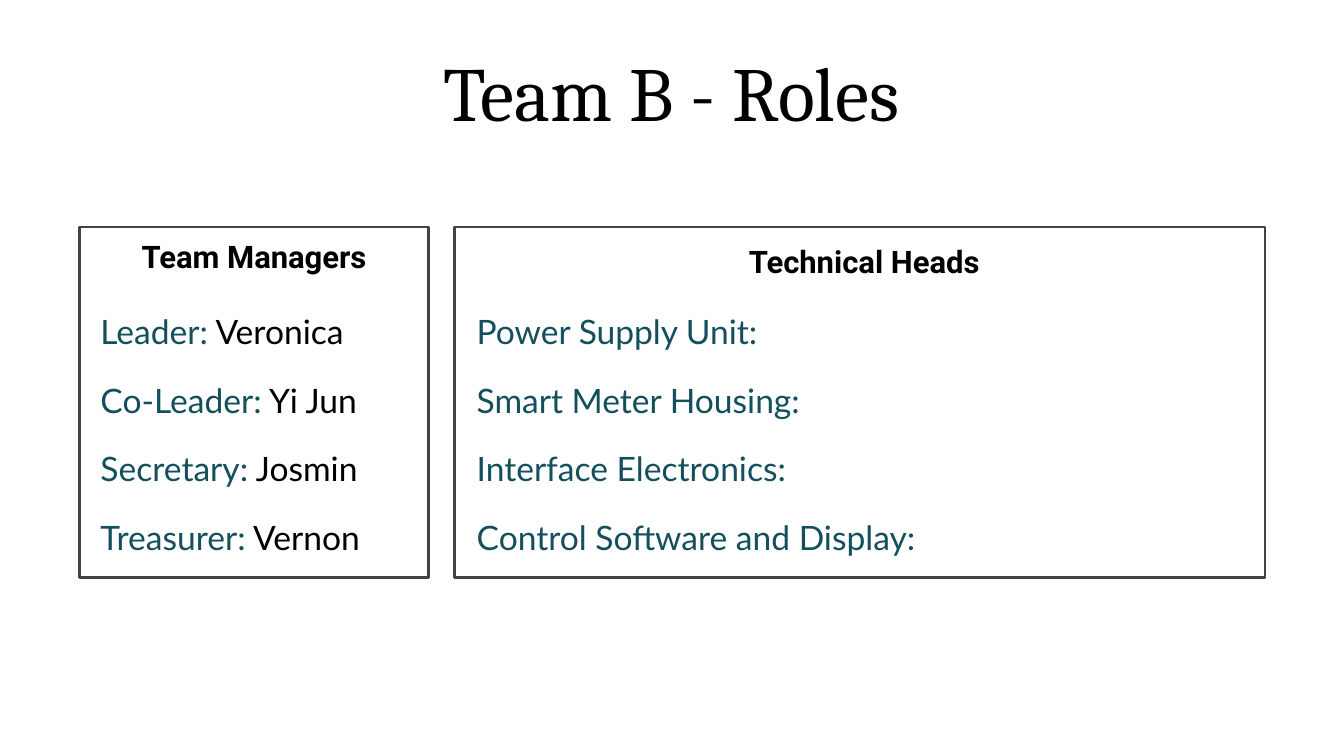
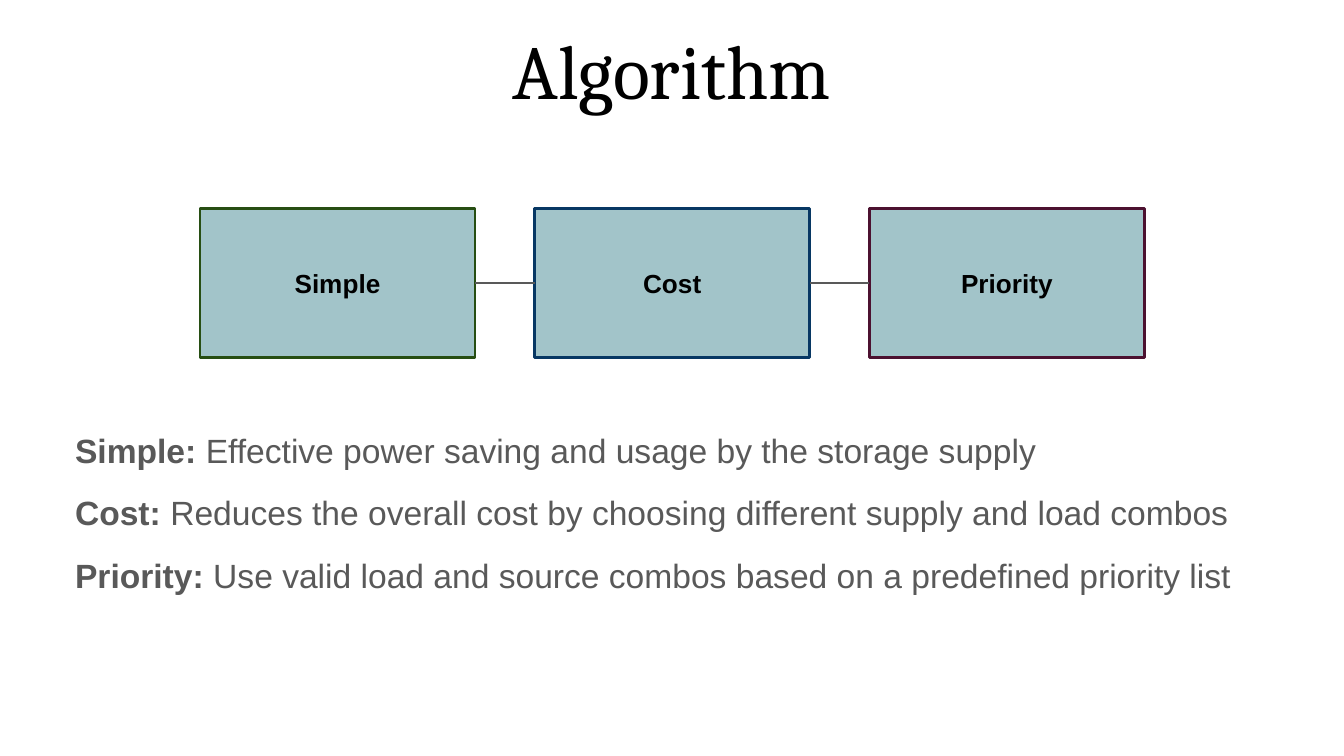
"""Build two slides: the roles in Team B and the three algorithm modes."""
from lxml import etree
from pptx import Presentation
from pptx.dml.color import RGBColor
from pptx.enum.shapes import MSO_CONNECTOR, MSO_SHAPE
from pptx.enum.text import MSO_ANCHOR, PP_ALIGN
from pptx.oxml.ns import qn
from pptx.util import Cm, Pt

CENTER, LEFT = PP_ALIGN.CENTER, PP_ALIGN.LEFT
TOP, MIDDLE = MSO_ANCHOR.TOP, MSO_ANCHOR.MIDDLE
RECT, STRAIGHT = MSO_SHAPE.RECTANGLE, MSO_CONNECTOR.STRAIGHT

COLORS = {
    "black": "000000", "white": "FFFFFF", "frame": "434343", "role": "134F5C",
    "body": "595959", "mode": "A2C4C9", "green": "274E13", "blue": "073763",
    "plum": "4C1130",
}

ROLES_TITLE = "Team B - Roles"
PANELS = [
    {"heading": "Team Managers", "left": 1.5, "width": 6.6,
     "heading_box": (2.11, 4.29), "list_box": (1.65, 5.51),
     "roles": [("Leader:", " Veronica"), ("Co-Leader:", " Yi Jun"),
               ("Secretary:", " Josmin"), ("Treasurer:", " Vernon")]},
    {"heading": "Technical Heads", "left": 8.59, "width": 15.32,
     "heading_box": (13.64, 4.39), "list_box": (8.76, 5.51),
     "roles": [("Power Supply Unit:",), ("Smart Meter Housing:",),
               ("Interface Electronics:",), ("Control Software and Display:",)]},
]
PANEL_TOP, PANEL_HEIGHT = 4.29, 6.63
HEADING_SIZE = (5.38, 1.22)

ALGORITHM_TITLE = "Algorithm"
MODES = [
    ("Simple", "green", "Effective power saving and usage by the storage supply"),
    ("Cost", "blue", "Reduces the overall cost by choosing different supply and load combos"),
    ("Priority", "plum", "Use valid load and source combos based on a predefined priority list"),
]
MODE_LEFT, MODE_TOP, MODE_PITCH = 3.78, 3.94, 6.325
MODE_WIDTH, MODE_HEIGHT = 5.2, 2.82


def rgb(name):
    return RGBColor.from_string(COLORS[name])


def write(tf, rows, font, size, styles, align=LEFT, anchor=TOP, spacing=None, gap=0):
    tf.word_wrap = True
    tf.vertical_anchor = anchor
    tf.margin_left = tf.margin_right = tf.margin_top = tf.margin_bottom = Cm(0.25)
    for i, row in enumerate(rows):
        p = tf.add_paragraph() if i else tf.paragraphs[0]
        p.alignment = align
        if spacing:
            p.line_spacing = spacing
        if i and gap:
            p.space_before = Pt(gap)
        for text, (color, bold) in zip(row, styles):
            r = p.add_run()
            r.text = text
            r.font.name, r.font.size, r.font.bold = font, Pt(size), bold
            r.font.color.rgb = rgb(color)


def add_text(s, left, top, width, height, rows, font, size, styles, **layout):
    box = s.shapes.add_textbox(Cm(left), Cm(top), Cm(width), Cm(height))
    write(box.text_frame, rows, font, size, styles, **layout)


def add_rect(s, left, top, width, height, fill, line):
    sp = s.shapes.add_shape(RECT, Cm(left), Cm(top), Cm(width), Cm(height))
    sp.shadow.inherit = False
    sp.fill.solid()
    sp.fill.fore_color.rgb = rgb(fill)
    sp.line.color.rgb = rgb(line)
    sp.line.width = Pt(1.5)
    return sp


def join(s, start, end):
    line = s.shapes.add_connector(STRAIGHT, 0, 0, 0, 0)
    line.begin_connect(start, 1)
    line.end_connect(end, 3)
    line.line.color.rgb = rgb("body")
    line.line.width = Pt(0.75)
    etree.SubElement(line.element.spPr, qn("a:effectLst"))


def add_slide(prs, title, top):
    s = prs.slides.add_slide(prs.slide_layouts[6])
    s.background.fill.solid()
    s.background.fill.fore_color.rgb = rgb("white")
    add_text(s, 0.86, top, 23.67, 2.26, [(title,)], "Cambria", 41,
             [("black", False)], align=CENTER)
    return s


def build_roles(prs):
    s = add_slide(prs, ROLES_TITLE, 0.61)
    for panel in PANELS:
        left, width = panel["left"], panel["width"]
        add_rect(s, left, PANEL_TOP, width, PANEL_HEIGHT, "white", "frame")
        add_text(s, *panel["heading_box"], *HEADING_SIZE, [(panel["heading"],)],
                 "Roboto", 16.6, [("black", True)], align=CENTER, spacing=0.95)
        list_left, list_top = panel["list_box"]
        add_text(s, list_left, list_top, left + width - list_left,
                 PANEL_TOP + PANEL_HEIGHT - list_top, panel["roles"], "Lato", 18,
                 [("role", False), ("black", False)], spacing=1.15, gap=12)


def build_algorithm(prs):
    s = add_slide(prs, ALGORITHM_TITLE, 0.18)
    rows = [(f"{name}:", f" {text}") for name, _, text in MODES]
    add_text(s, 1.17, 7.87, 23.04, 5.94, rows, "Arial", 18,
             [("body", True), ("body", False)], gap=12)
    boxes = []
    for i, (name, line, _) in enumerate(MODES):
        sp = add_rect(s, MODE_LEFT + i * MODE_PITCH, MODE_TOP,
                      MODE_WIDTH, MODE_HEIGHT, "mode", line)
        write(sp.text_frame, [(name,)], "Arial", 14, [("black", True)],
              align=CENTER, anchor=MIDDLE)
        boxes.append(sp)
    for before, after in zip(boxes, boxes[1:]):
        join(s, after, before)


def main():
    prs = Presentation()
    prs.slide_width, prs.slide_height = Cm(25.4), Cm(14.29)
    build_roles(prs)
    build_algorithm(prs)
    prs.save("out.pptx")


if __name__ == "__main__":
    main()
